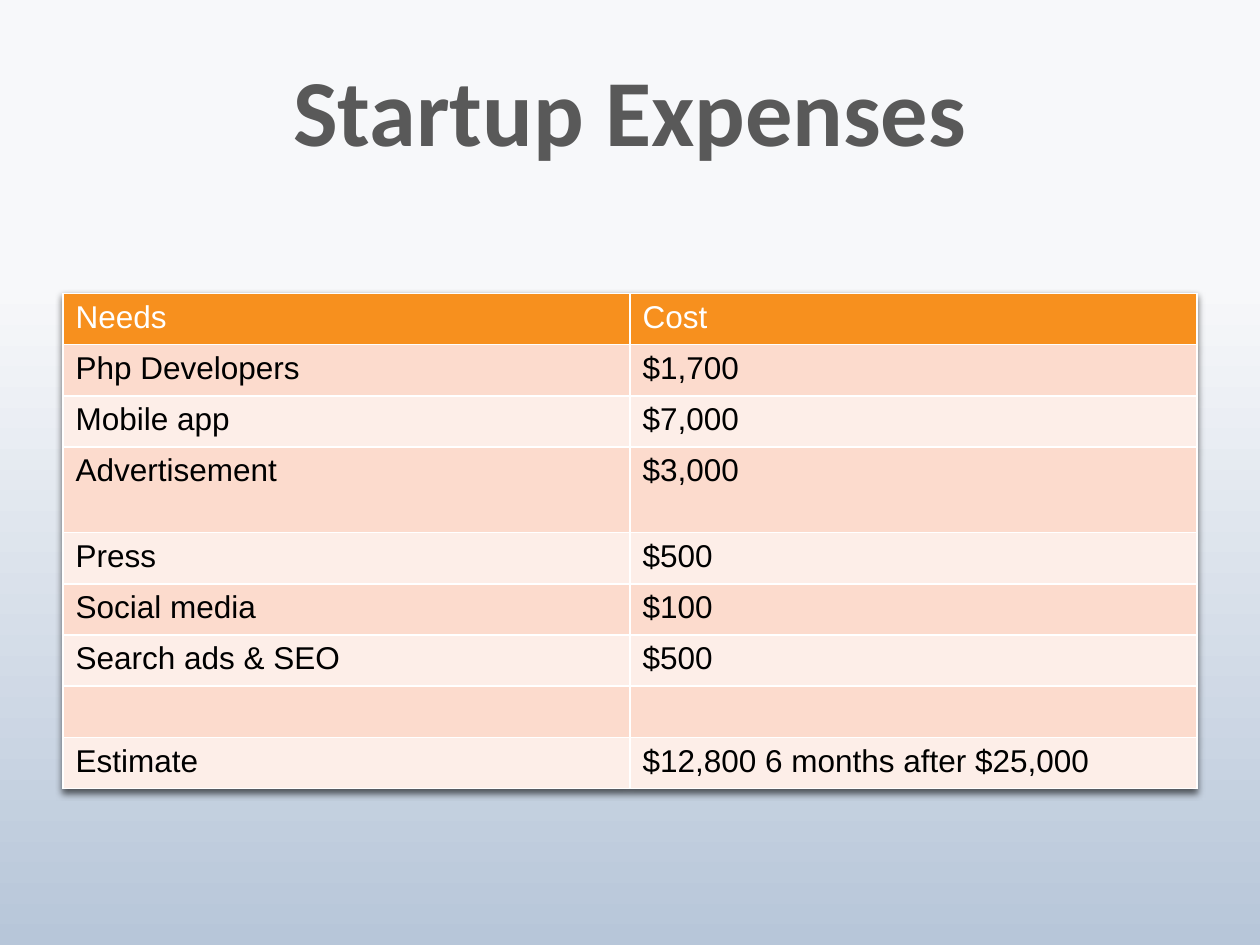
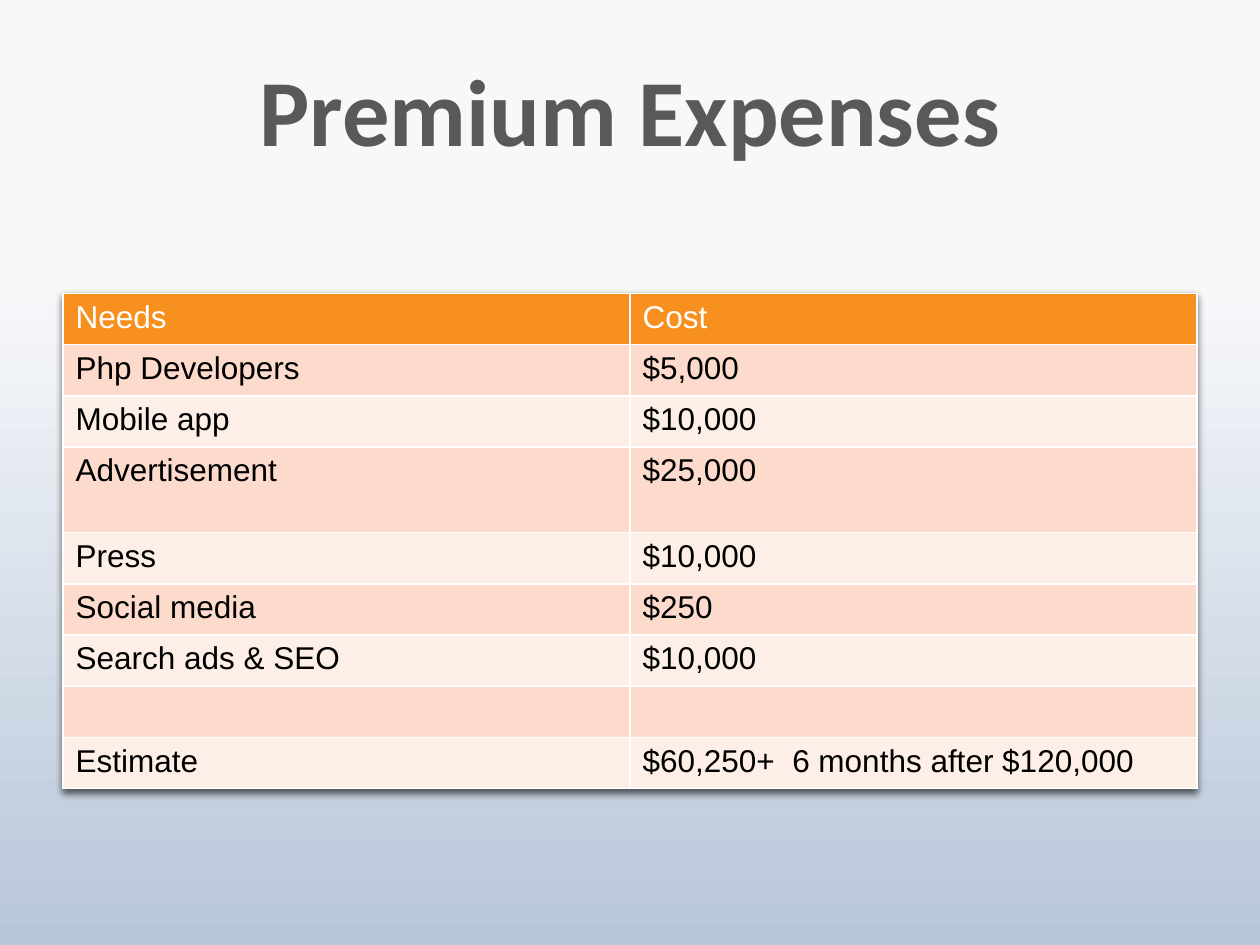
from lxml import etree
from pptx import Presentation
from pptx.dml.color import RGBColor
from pptx.enum.text import MSO_ANCHOR, PP_ALIGN
from pptx.oxml.ns import qn
from pptx.util import Inches, Pt

CENTER, MIDDLE = PP_ALIGN.CENTER, MSO_ANCHOR.MIDDLE
TITLE_ONLY = 5

WHITE = RGBColor(0xFF, 0xFF, 0xFF)
BLACK = RGBColor(0x00, 0x00, 0x00)
GRAY = RGBColor(0x59, 0x59, 0x59)
ORANGE = RGBColor(0xF7, 0x90, 0x1E)
PEACH = RGBColor(0xFC, 0xDB, 0xCD)
PALE_PEACH = RGBColor(0xFD, 0xEE, 0xE8)
SKY_TOP = RGBColor(0xF7, 0xF8, 0xFA)
SKY_BOTTOM = RGBColor(0xB7, 0xC6, 0xD9)

PAGE_WIDTH, PAGE_HEIGHT = Inches(10), Inches(7.5)
MARGIN = 0.05 * PAGE_WIDTH
CONTENT_WIDTH = PAGE_WIDTH - 2 * MARGIN
TITLE_BOX = (MARGIN, 0.04 * PAGE_HEIGHT, CONTENT_WIDTH, PAGE_HEIGHT / 6)
TABLE_BOX = (MARGIN, Inches(2.33), CONTENT_WIDTH, Inches(3.93))

NEEDS = ["Php Developers", "Mobile app", "Advertisement", "Press",
         "Social media", "Search ads & SEO", "", "Estimate"]
TALL_ROW = 1 + NEEDS.index("Advertisement")
TALL_ROW_HEIGHT = Inches(0.68)

EXPENSES = {
    "Startup Expenses": ["$1,700", "$7,000", "$3,000", "$500", "$100", "$500",
                         "", "$12,800 6 months after $25,000"],
    "Premium Expenses": ["$5,000", "$10,000", "$25,000", "$10,000", "$250",
                         "$10,000", "", "$60,250+  6 months after $120,000"],
}


def add_span(para, text, font, size, color, bold=False):
    span = para.add_run()
    span.text = text
    span.font.name = font
    span.font.size = Pt(size)
    span.font.bold = bold
    span.font.color.rgb = color


def style_background(master):
    """Fade from near white to blue down the page."""
    fill = master.background.fill
    fill.gradient()
    fill.gradient_angle = 270
    stops = ((0.3, SKY_TOP), (1, SKY_BOTTOM))
    for stop, (position, color) in zip(fill.gradient_stops, stops):
        stop.position = position
        stop.color.rgb = color


def place_title(title, box, text):
    title.left, title.top, title.width, title.height = map(int, box)
    frame = title.text_frame
    frame.vertical_anchor = MIDDLE
    para = frame.paragraphs[0]
    para.alignment = CENTER
    para.line_spacing = Pt(56)
    add_span(para, text, "Calibri", 54, GRAY, bold=True)


def add_borders(cell, color, width):
    properties = cell._tc.get_or_add_tcPr()
    for side in "LRTB":
        line = etree.SubElement(properties, qn(f"a:ln{side}"), w=str(Pt(width)))
        fill = etree.SubElement(line, qn("a:solidFill"))
        etree.SubElement(fill, qn("a:srgbClr"), val=str(color))


def add_table_shadow(table):
    effects = etree.Element(qn("a:effectLst"))
    shadow = etree.SubElement(effects, qn("a:outerShdw"), blurRad=str(Pt(4)),
                              dist=str(Pt(2)), dir="5400000", rotWithShape="0")
    color = etree.SubElement(shadow, qn("a:srgbClr"), val=str(BLACK))
    etree.SubElement(color, qn("a:alpha"), val="60000")
    table._tbl.tblPr.insert(0, effects)


def add_cost_table(page, box, rows):
    left, top, width, height = map(int, box)
    table = page.shapes.add_table(len(rows), 2, left, top, width, height).table
    add_table_shadow(table)
    for column in table.columns:
        column.width = width // 2

    # One tall row, the rest share what is left
    row_height = (height - TALL_ROW_HEIGHT) // (len(rows) - 1)
    for index, texts in enumerate(rows):
        table.rows[index].height = TALL_ROW_HEIGHT if index == TALL_ROW else row_height
        if index == 0:
            back, ink = ORANGE, WHITE
        else:
            back, ink = (PEACH if index % 2 else PALE_PEACH), BLACK
        for cell, text in zip(table.rows[index].cells, texts):
            add_borders(cell, WHITE, 1)
            cell.fill.solid()
            cell.fill.fore_color.rgb = back
            if text:
                add_span(cell.text_frame.paragraphs[0], text, "Arial", 18, ink)


def add_expense_page(deck, heading, costs):
    page = deck.slides.add_slide(deck.slide_layouts[TITLE_ONLY])
    place_title(page.shapes.title, TITLE_BOX, heading)
    add_cost_table(page, TABLE_BOX, [("Needs", "Cost"), *zip(NEEDS, costs)])


def main():
    deck = Presentation()
    deck.slide_width, deck.slide_height = PAGE_WIDTH, PAGE_HEIGHT
    style_background(deck.slide_master)
    for heading, costs in EXPENSES.items():
        add_expense_page(deck, heading, costs)
    deck.save("out.pptx")


if __name__ == "__main__":
    main()
